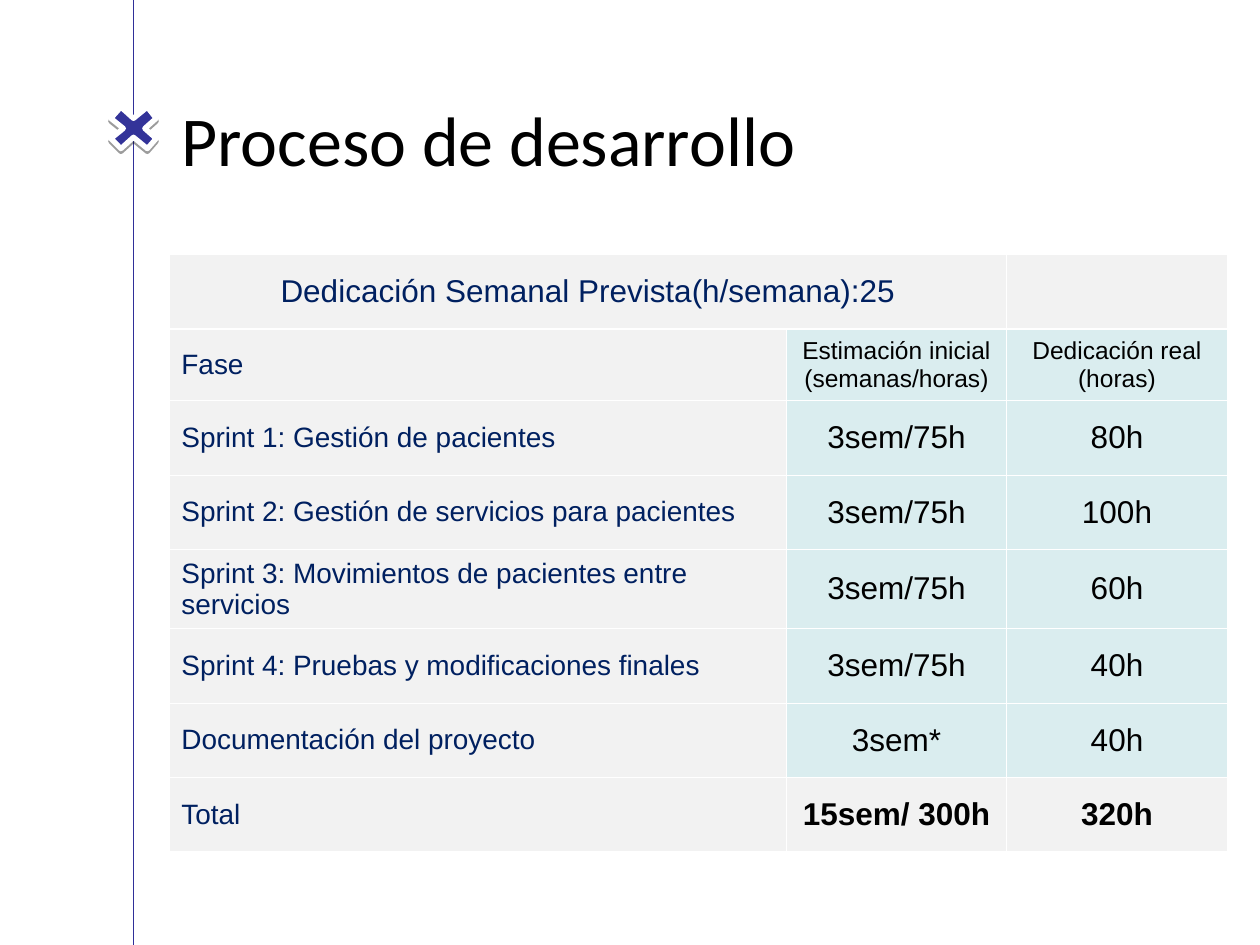
import lxml.etree
import pptx
import pptx.dml.color
import pptx.enum.shapes
import pptx.enum.text
import pptx.oxml.ns
import pptx.util

Inches = pptx.util.Inches
Pt = pptx.util.Pt
qn = pptx.oxml.ns.qn
ALIGN = pptx.enum.text.PP_ALIGN
MIDDLE = pptx.enum.text.MSO_ANCHOR.MIDDLE

COLORS = {
    "black": "000000",
    "white": "FFFFFF",
    "navy": "002060",
    "rule": "2F2F98",
    "cross": "333399",
    "grey": "F2F2F2",
    "teal": "DAEDEF",
}

HEADING = "Dedicación Semanal Prevista(h/semana):25"
COLUMN_HEADS = ("Fase", "Estimación inicial (semanas/horas)", "Dedicación real\n(horas)")
PHASES = [
    ("Sprint 1: Gestión de pacientes", "3sem/75h", "80h"),
    ("Sprint 2: Gestión de servicios para pacientes", "3sem/75h", "100h"),
    ("Sprint 3: Movimientos de pacientes entre servicios", "3sem/75h", "60h"),
    ("Sprint 4: Pruebas y modificaciones finales", "3sem/75h", "40h"),
    ("Documentación del proyecto", "3sem*", "40h"),
]
TOTAL = ("Total", "15sem/ 300h", "320h")
COLUMN_WIDTHS = (4.9, 1.75, 1.75)
ROW_HEIGHTS = (0.59, 0.57, 0.59, 0.59, 0.63, 0.59, 0.59, 0.59)
CROSS_POINTS = [
    (0.88, 0.94), (0.96, 0.85), (1.06, 0.94), (1.17, 0.85), (1.24, 0.94), (1.15, 1.02),
    (1.24, 1.1), (1.17, 1.18), (1.06, 1.09), (0.96, 1.18), (0.88, 1.1), (0.98, 1.02),
]


def color(name):
    return pptx.dml.color.RGBColor.from_string(COLORS[name])


class SlideBuilder:
    title_font = "Calibri"
    table_font = "Arial"
    thin_border = 0.45
    thick_border = 1.47

    def __init__(self, slide):
        self.slide = slide

    def format_text(self, text_frame, font, size, ink, align, bold=False):
        for paragraph in text_frame.paragraphs:
            paragraph.alignment = align
            for run in paragraph.runs:
                run.font.name = font
                run.font.size = Pt(size)
                run.font.bold = bold
                run.font.color.rgb = color(ink)

    def title(self, text, left, top, width, height):
        shape = self.slide.shapes.title
        shape.left, shape.top = Inches(left), Inches(top)
        shape.width, shape.height = Inches(width), Inches(height)
        frame = shape.text_frame
        frame.text = text
        frame.auto_size = pptx.enum.text.MSO_AUTO_SIZE.NONE
        frame.vertical_anchor = MIDDLE
        frame.paragraphs[0].line_spacing = 1.5
        self.format_text(frame, self.title_font, 40, "black", ALIGN.LEFT)

    def vertical_rule(self, x, height):
        line = self.slide.shapes.add_connector(
            pptx.enum.shapes.MSO_CONNECTOR.STRAIGHT, Inches(x), 0, Inches(x), Inches(height))
        line.line.color.rgb = color("rule")
        line.line.width = Pt(0.75)
        lxml.etree.SubElement(line._element.spPr, qn("a:effectLst"))
        line._element.remove(line._element.find(qn("p:style")))

    def cross(self, points):
        corners = [(Inches(x), Inches(y)) for x, y in points]
        builder = self.slide.shapes.build_freeform(*corners[0])
        builder.add_line_segments(corners[1:], close=True)
        shape = builder.convert_to_shape()
        shape.fill.solid()
        shape.fill.fore_color.rgb = color("cross")
        shape.line.color.rgb = color("white")
        shape.line.width = Pt(3)
        shape.shadow.inherit = False
        effects = shape._element.spPr.find(qn("a:effectLst"))
        shadow = lxml.etree.SubElement(
            effects, qn("a:outerShdw"), blurRad="0", dist=str(Pt(1.6)), dir="5400000", rotWithShape="0")
        ink = lxml.etree.SubElement(shadow, qn("a:srgbClr"), val=COLORS["black"])
        lxml.etree.SubElement(ink, qn("a:alpha"), val="38000")

    def cell_borders(self, cell, top, bottom):
        properties = cell._tc.get_or_add_tcPr()
        widths = {"L": self.thin_border, "R": self.thin_border, "T": top, "B": bottom}
        for index, (side, width) in enumerate(widths.items()):
            border = lxml.etree.Element(qn("a:ln" + side), w=str(Pt(width)))
            fill = lxml.etree.SubElement(border, qn("a:solidFill"))
            lxml.etree.SubElement(fill, qn("a:srgbClr"), val=COLORS["white"])
            properties.insert(index, border)

    def cell(self, cell, text, size, ink, fill, align, bold=False):
        cell.text = text
        cell.vertical_anchor = MIDDLE
        cell.fill.solid()
        cell.fill.fore_color.rgb = color(fill)
        self.format_text(cell.text_frame, self.table_font, size, ink, align, bold)

    def table(self, rows, left, top):
        table = self.slide.shapes.add_table(
            len(rows), len(COLUMN_WIDTHS), Inches(left), Inches(top),
            Inches(sum(COLUMN_WIDTHS)), Inches(sum(ROW_HEIGHTS))).table
        for column, width in zip(table.columns, COLUMN_WIDTHS):
            column.width = Inches(width)
        for row, height in zip(table.rows, ROW_HEIGHTS):
            row.height = Inches(height)
        last = len(rows) - 1
        for r, texts in enumerate(rows):
            for c, text in enumerate(texts):
                cell = table.cell(r, c)
                if r == 0:
                    self.cell(cell, text, 18, "navy", "grey", ALIGN.CENTER)
                elif c == 0:
                    self.cell(cell, text, 16, "navy", "grey", ALIGN.LEFT)
                else:
                    size = 14 if r == 1 else 18
                    fill = "grey" if r == last else "teal"
                    self.cell(cell, text, size, "black", fill, ALIGN.CENTER, r == last)
                self.cell_borders(
                    cell,
                    self.thick_border if r == 1 else self.thin_border,
                    self.thick_border if r == 0 else self.thin_border)
        table.cell(0, 0).merge(table.cell(0, 1))


def main():
    presentation = pptx.Presentation()
    presentation.slide_width = Inches(10)
    presentation.slide_height = Inches(7.5)
    builder = SlideBuilder(presentation.slides.add_slide(presentation.slide_layouts[5]))
    builder.title("Proceso de desarrollo", 1.34, 0.5, 5.87, 0.86)
    builder.vertical_rule(1.06, 7.5)
    builder.cross(CROSS_POINTS)
    builder.table([(HEADING, "", ""), COLUMN_HEADS, *PHASES, TOTAL], 1.34, 2.02)
    presentation.save("out.pptx")


if __name__ == "__main__":
    main()
